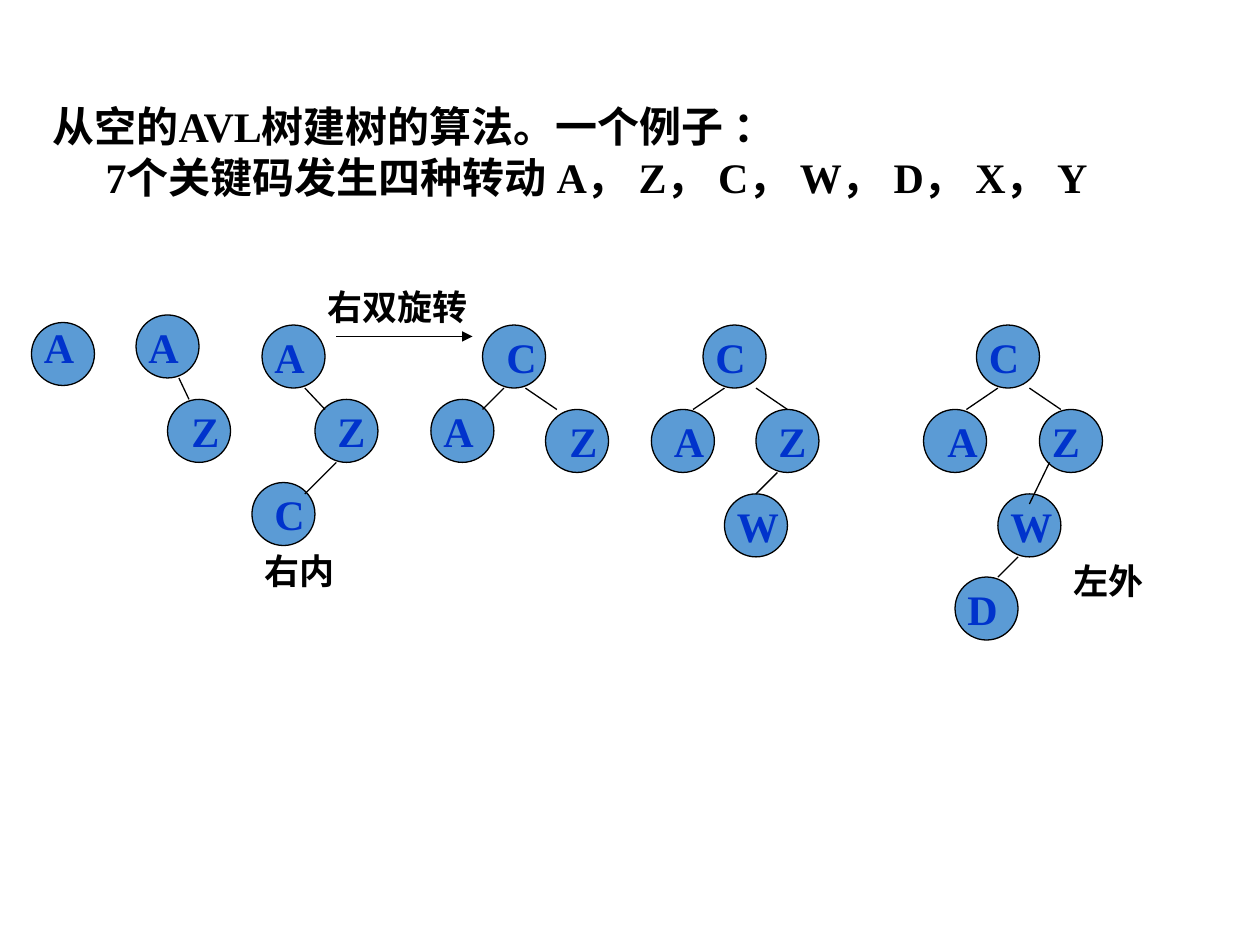
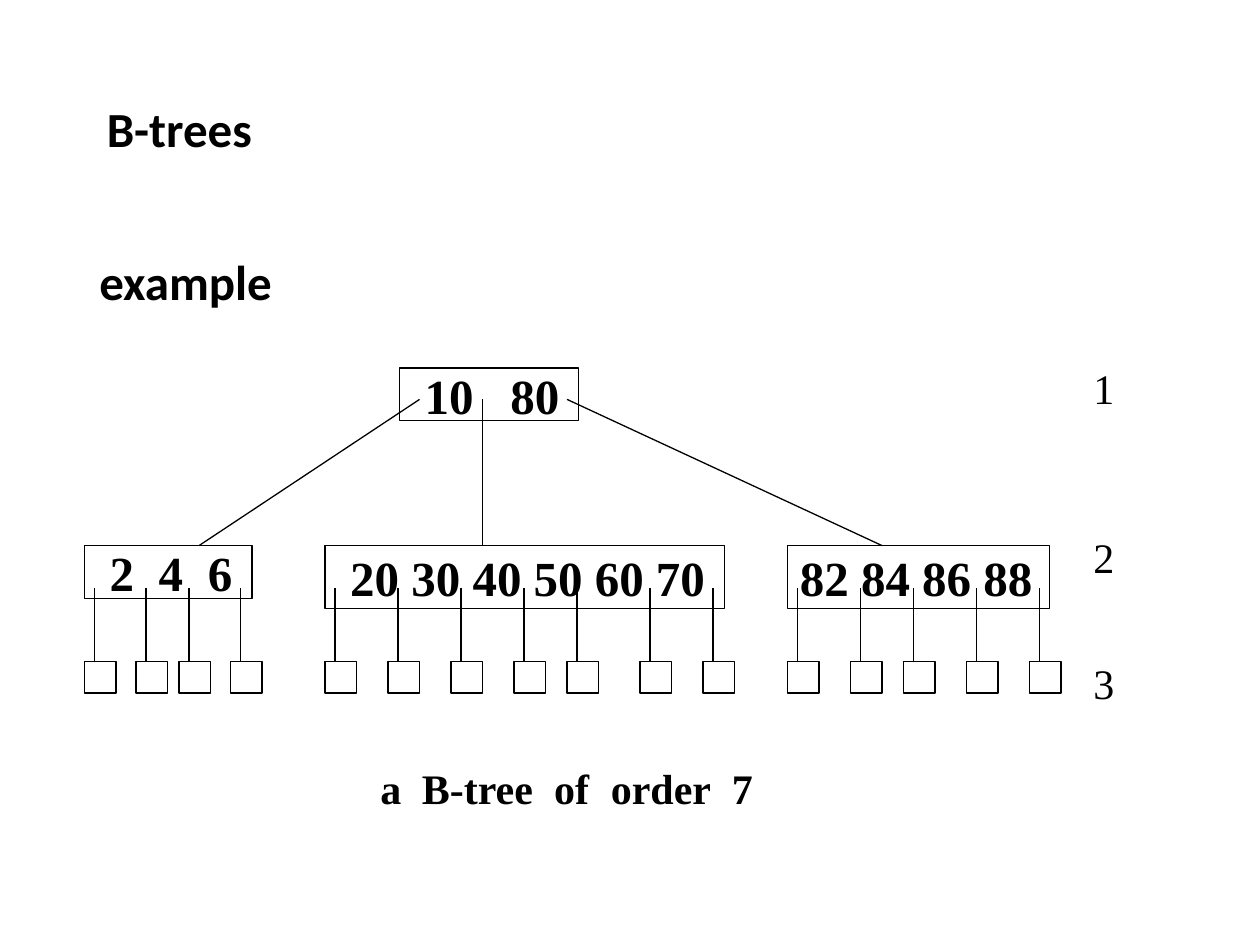
from dataclasses import dataclass
from lxml import etree
from pptx import Presentation
from pptx.dml.color import RGBColor
from pptx.enum.shapes import MSO_CONNECTOR as Connector, MSO_SHAPE as Shape
from pptx.enum.text import MSO_ANCHOR as Anchor, MSO_AUTO_SIZE as AutoSize
from pptx.oxml.ns import qn
from pptx.util import Inches, Pt


@dataclass(frozen=True)
class Theme:
    ink = RGBColor(0x00, 0x00, 0x00)
    key = RGBColor(0x00, 0x33, 0xCC)
    node = RGBColor(0x5B, 0x9B, 0xD5)
    serif = "Times New Roman"
    sans = "Calibri"
    heading = Pt(28)
    body = Pt(24)
    label = Pt(20)
    stroke = Pt(0.75)


theme = Theme()


def write(text_frame, text, size, color=theme.ink, font=theme.serif, bold=True,
          tabs=(), wrap=True):
    """Fill a text frame and format its runs; tabs are stops in inches."""
    text_frame.text = text
    text_frame.word_wrap = wrap
    for paragraph in text_frame.paragraphs:
        if tabs:
            tab_list = etree.SubElement(paragraph._p.get_or_add_pPr(), qn("a:tabLst"))
            for stop in tabs:
                etree.SubElement(tab_list, qn("a:tab"), pos=str(Inches(stop)), algn="l")
        for run in paragraph.runs:
            run.font.size = size
            run.font.bold = bold
            run.font.name = font
            run.font.color.rgb = color


def add_line(slide, start_x, start_y, end_x, end_y):
    line = slide.shapes.add_connector(
        Connector.STRAIGHT, Inches(start_x), Inches(start_y), Inches(end_x), Inches(end_y))
    line.line.color.rgb = theme.ink
    line.line.width = theme.stroke
    etree.SubElement(line._element.spPr, qn("a:effectLst"))
    return line


presentation = Presentation()
presentation.slide_width = Inches(10)
presentation.slide_height = Inches(7.5)
blank = presentation.slide_layouts[6]

# Slide 1: building an AVL tree
slide = presentation.slides.add_slide(blank)
intro = slide.shapes.add_textbox(Inches(0.32), Inches(0.75), Inches(8.87), Inches(0.91))
write(intro.text_frame,
      "从空的AVL树建树的算法。一个例子 ：\n7个关键码发生四种转动\tA， Z， C， W， D， X， Y",
      theme.body, tabs=[4.45])
intro.text_frame.paragraphs[1]._p.get_or_add_pPr().set("indent", str(Inches(0.42)))

# Nodes of each step: letter, circle left and top, letter offset right and down
letter_widths = {"A": 0.44, "C": 0.45, "D": 0.44, "W": 0.54, "Z": 0.43}
avl_nodes = [
    ("A", 0.25, 2.56, 0, -0.06),
    ("A", 1.08, 2.5, 0, 0), ("Z", 1.33, 3.17, 0.09, 0),
    ("A", 2.08, 2.58, 0, 0), ("Z", 2.5, 3.17, 0.08, 0), ("C", 2, 3.83, 0.08, 0),
    ("C", 3.83, 2.58, 0.09, 0), ("A", 3.42, 3.17, 0, 0), ("Z", 4.33, 3.25, 0.09, 0),
    ("C", 5.58, 2.58, 0, 0), ("A", 5.17, 3.25, 0.08, 0), ("Z", 6, 3.25, 0.08, 0),
    ("W", 5.75, 3.92, 0, 0),
    ("C", 7.75, 2.58, 0, 0), ("A", 7.33, 3.25, 0.09, 0), ("Z", 8.25, 3.25, 0, 0),
    ("W", 7.92, 3.92, 0, 0), ("D", 7.58, 4.58, 0, 0),
]
for letter, left, top, shift_x, shift_y in avl_nodes:
    circle = slide.shapes.add_shape(
        Shape.FLOWCHART_CONNECTOR, Inches(left), Inches(top), Inches(0.5), Inches(0.5))
    circle.shadow.inherit = False
    circle.fill.solid()
    circle.fill.fore_color.rgb = theme.node
    circle.line.color.rgb = theme.ink
    circle.line.width = theme.stroke

# Edges between parents and children
for edge in [
    (1.42, 3, 1.5, 3.17),
    (2.42, 3.08, 2.58, 3.25), (2.67, 3.67, 2.42, 3.92),
    (4, 3.08, 3.83, 3.25), (4.17, 3.08, 4.42, 3.25),
    (5.75, 3.08, 5.5, 3.25), (6, 3.08, 6.25, 3.25), (6.17, 3.75, 6, 3.92),
    (7.92, 3.08, 7.67, 3.25), (8.17, 3.08, 8.42, 3.25),
    (8.33, 3.67, 8.17, 4), (8.08, 4.42, 7.92, 4.58),
]:
    add_line(slide, *edge)

# Rotation arrow
arrow = add_line(slide, 2.67, 2.67, 3.75, 2.67)
etree.SubElement(arrow.line._get_or_add_ln(), qn("a:tailEnd"), type="triangle")

# Node letters and rotation labels
avl_texts = [
    (letter, left + shift_x, top + shift_y, letter_widths[letter], 0.5, theme.body, theme.key)
    for letter, left, top, shift_x, shift_y in avl_nodes
] + [
    ("右双旋转", 2.5, 2.22, 1.33, 0.44, theme.label, theme.ink),
    ("右内", 2, 4.31, 0.77, 0.44, theme.label, theme.ink),
    ("左外", 8.42, 4.39, 0.77, 0.44, theme.label, theme.ink),
]
for text, left, top, width, height, size, color in avl_texts:
    box = slide.shapes.add_textbox(Inches(left), Inches(top), Inches(width), Inches(height))
    write(box.text_frame, text, size, color, wrap=False)
    box.text_frame.auto_size = AutoSize.SHAPE_TO_FIT_TEXT

# Slide 2: B-tree example
slide = presentation.slides.add_slide(blank)
for text, left, top, width, height, anchor in [
    ("B-trees", 0.75, 0.67, 8.5, 0.75, Anchor.MIDDLE),
    ("example", 0.69, 2, 8.62, 4.76, Anchor.TOP),
]:
    heading = slide.shapes.add_textbox(Inches(left), Inches(top), Inches(width), Inches(height))
    write(heading.text_frame, text, theme.heading, font=theme.sans)
    heading.text_frame.vertical_anchor = anchor
    heading.text_frame.paragraphs[0].line_spacing = 0.9

# Key nodes (text, left, top, width, height, left inset, tab stops) and their leaves
leaf_size = 0.25
leaf_top = 5.25
leaf_lefts = [0.67, 1.08, 1.42, 1.83,
              2.58, 3.08, 3.58, 4.08, 4.5, 5.08, 5.58,
              6.25, 6.75, 7.17, 7.67, 8.17]
rectangles = [
    ("10\t80", 3.17, 2.92, 1.42, 0.42, 0.2, [0.68]),
    ("2\t4\t6", 0.67, 4.33, 1.33, 0.42, 0.2, [0.39, 0.78]),
    ("20 30 40 50 60 70", 2.58, 4.33, 3.17, 0.5, 0.2, []),
    ("82 84 86 88", 6.25, 4.33, 2.08, 0.5, 0.1, []),
] + [("", left, leaf_top, leaf_size, leaf_size, 0, []) for left in leaf_lefts]
for keys, left, top, width, height, inset, tabs in rectangles:
    rectangle = slide.shapes.add_shape(
        Shape.RECTANGLE, Inches(left), Inches(top), Inches(width), Inches(height))
    rectangle.shadow.inherit = False
    rectangle.fill.background()
    rectangle.line.color.rgb = theme.ink
    rectangle.line.width = theme.stroke
    if keys:
        frame = rectangle.text_frame
        write(frame, keys, theme.heading, tabs=tabs)
        frame.margin_left = Inches(inset)
        frame.margin_right = 0
        frame.vertical_anchor = Anchor.MIDDLE
        frame.paragraphs[0].alignment = 1

# Branches from the root, then one stem per leaf
for root_x, child_x in [(3.33, 1.58), (3.83, 3.83), (4.5, 7)]:
    add_line(slide, root_x, 3.17, child_x, 4.33)
for left in leaf_lefts:
    add_line(slide, left + 0.08, 4.67, left + 0.08, leaf_top)

# Level numbers and caption
for text, left, top, width, bold, tabs in [
    ("1", 8.58, 2.83, 0.33, False, []),
    ("2", 8.58, 4.17, 0.33, False, []),
    ("3", 8.58, 5.17, 0.42, False, []),
    ("a\tB-tree\tof\torder\t7", 2.92, 6, 4.17, True, [0.33, 1.38, 1.83, 2.79]),
]:
    box = slide.shapes.add_textbox(Inches(left), Inches(top), Inches(width), Inches(0.5))
    write(box.text_frame, text, theme.body, bold=bold, tabs=tabs)

presentation.save("out.pptx")
